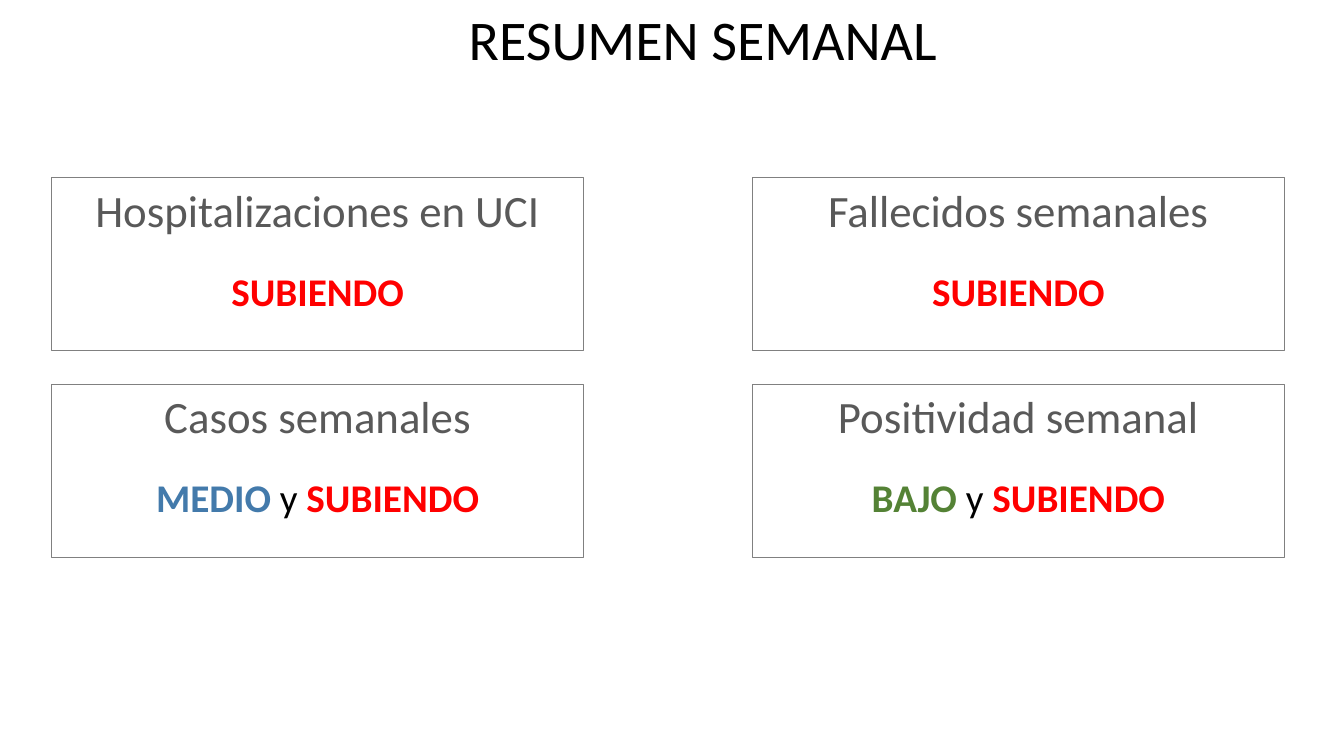
from pptx import Presentation
from pptx.dml.color import RGBColor
from pptx.enum.shapes import MSO_SHAPE
from pptx.enum.text import MSO_ANCHOR, PP_ALIGN
from pptx.util import Inches, Pt

BLACK = RGBColor(0x00, 0x00, 0x00)
GRAY = RGBColor(0x59, 0x59, 0x59)
BORDER = RGBColor(0x80, 0x80, 0x80)
RED = RGBColor(0xFF, 0x00, 0x00)
BLUE = RGBColor(0x43, 0x7A, 0xAB)
GREEN = RGBColor(0x54, 0x82, 0x35)

LEFT, TOP = 0.51, 1.76
CARD_WIDTH, CARD_HEIGHT = 5.28, 1.72
COLUMN_STEP, ROW_STEP = 6.95, 2.05

RISING = ("SUBIENDO", RED, True)
AND = (" y ", BLACK, False)
CARDS = [
    [("Hospitalizaciones en UCI", [RISING]),
     ("Fallecidos semanales", [RISING])],
    [("Casos semanales", [("MEDIO", BLUE, True), AND, RISING]),
     ("Positividad semanal", [("BAJO", GREEN, True), AND, RISING])],
]


def add_run(paragraph, text, size, color, bold=False):
    """Append a formatted run to a paragraph."""
    run = paragraph.add_run()
    run.text = text
    run.font.name = "Calibri"
    run.font.size = Pt(size)
    run.font.bold = bold
    run.font.color.rgb = color


presentation = Presentation()
presentation.slide_width = Inches(13.33)
presentation.slide_height = Inches(7.5)
slide = presentation.slides.add_slide(presentation.slide_layouts[6])

title = slide.shapes.add_textbox(Inches(4.55), Inches(0), Inches(4.89), Inches(0.77))
title.text_frame.word_wrap = False
title.text_frame.paragraphs[0].alignment = PP_ALIGN.LEFT
add_run(title.text_frame.paragraphs[0], "RESUMEN SEMANAL", 40, BLACK)

for row, cards in enumerate(CARDS):
    for column, (heading, status) in enumerate(cards):
        card = slide.shapes.add_shape(
            MSO_SHAPE.RECTANGLE,
            Inches(LEFT + column * COLUMN_STEP), Inches(TOP + row * ROW_STEP),
            Inches(CARD_WIDTH), Inches(CARD_HEIGHT))
        card.shadow.inherit = False
        card.fill.background()
        card.line.color.rgb = BORDER
        card.line.width = Pt(0.75)

        text_frame = card.text_frame
        text_frame.word_wrap = True
        text_frame.vertical_anchor = MSO_ANCHOR.TOP
        heading_paragraph = text_frame.paragraphs[0]
        heading_paragraph.alignment = PP_ALIGN.CENTER
        add_run(heading_paragraph, heading, 32, GRAY)

        status_paragraph = text_frame.add_paragraph()
        status_paragraph.alignment = PP_ALIGN.CENTER
        status_paragraph.space_before = Pt(22)
        for text, color, bold in status:
            add_run(status_paragraph, text, 28, color, bold)

presentation.save("out.pptx")
